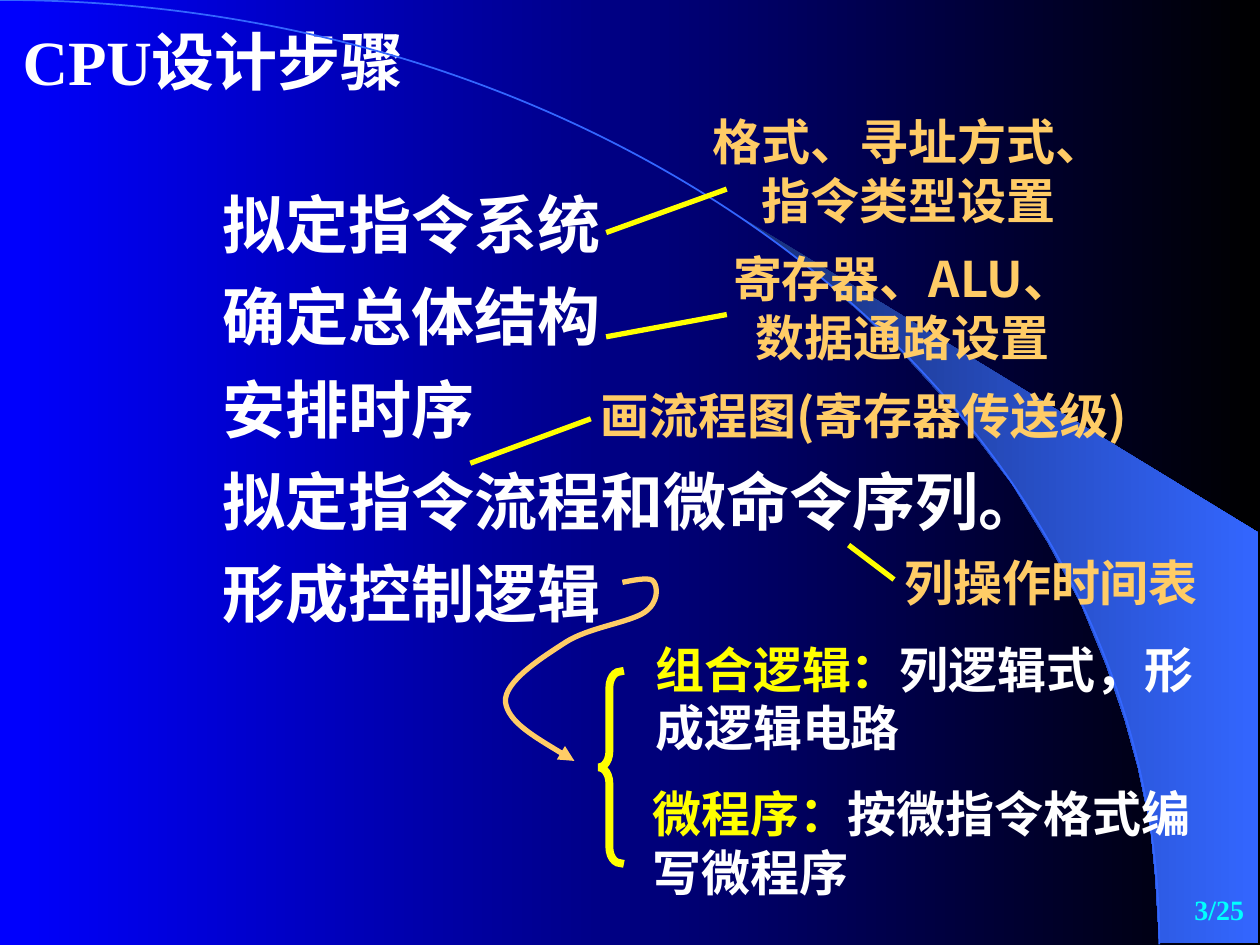
from pptx import Presentation
from pptx.dml.color import RGBColor
from pptx.enum.shapes import MSO_CONNECTOR, MSO_SHAPE
from pptx.enum.text import MSO_ANCHOR, MSO_AUTO_SIZE, PP_ALIGN
from pptx.oxml.ns import qn
from pptx.util import Cm, Pt
from lxml.etree import SubElement

SERIF, SANS = "Times New Roman", "Noto Sans CJK SC"
WHITE, YELLOW, ORANGE, CYAN = "FFFFFF", "FFFF00", "FFCC66", "00FFFF"
BLUE, DARK_BLUE = "3366FF", "182F76"


def color(hex_value):
    return RGBColor.from_string(hex_value)


def fill_gradient(fill, start, end):
    fill.gradient()
    fill.gradient_angle = 0
    for stop, hex_value in zip(fill.gradient_stops, (start, end)):
        stop.color.rgb = color(hex_value)


def set_line(shape, hex_value, width):
    """Solid line with square ends and sharp corners."""
    shape.line.color.rgb = color(hex_value)
    shape.line.width = Pt(width)
    outline = shape.line._get_or_add_ln()
    outline.set("cap", "sq")
    SubElement(outline, qn("a:miter")).set("lim", "800000")


def write(frame, paragraphs, size=28, align=PP_ALIGN.LEFT, spacing=None, before=0):
    """Fill a text frame; each paragraph is a list of (text, colour, font) runs."""
    frame.word_wrap = True
    frame.auto_size = MSO_AUTO_SIZE.NONE
    frame.vertical_anchor = MSO_ANCHOR.TOP
    for index, runs in enumerate(paragraphs):
        paragraph = frame.add_paragraph() if index else frame.paragraphs[0]
        paragraph.alignment = align
        paragraph.space_before = Pt(before if index else 0)
        if spacing:
            paragraph.line_spacing = spacing
        for text, hex_value, font_name in runs:
            run = paragraph.add_run()
            run.text = text
            run.font.size, run.font.bold = Pt(size), True
            run.font.name = font_name
            run.font.color.rgb = color(hex_value)
            east_asian = SubElement(run.font._element, qn("a:ea"))
            east_asian.set("typeface", SANS)


def add_text(slide, box, paragraphs, **text_format):
    frame = slide.shapes.add_textbox(*map(Cm, box)).text_frame
    write(frame, paragraphs, **text_format)


def add_outline(slide, left, top, points, close=False):
    moved = [(Cm(left + x), Cm(top + y)) for x, y in points]
    builder = slide.shapes.build_freeform(*moved[0])
    builder.add_line_segments(moved[1:], close=close)
    shape = builder.convert_to_shape()
    shape.shadow.inherit = False
    return shape


def add_curve(slide, left, top, points, hex_value, width):
    """Open curve; after the start, every three points make one cubic segment."""
    curve = add_outline(slide, left, top, points)
    segments = list(curve._element.iter(qn("a:lnTo")))
    for index in range(0, len(segments), 3):
        first, *others = segments[index:index + 3]
        first.tag = qn("a:cubicBezTo")
        for other in others:
            first.append(other[0])
            other.getparent().remove(other)
    curve.fill.background()
    set_line(curve, hex_value, width)
    return curve


def add_pointer(slide, x1, y1, x2, y2):
    pointer = slide.shapes.add_connector(MSO_CONNECTOR.STRAIGHT, *map(Cm, (x1, y1, x2, y2)))
    set_line(pointer, YELLOW, 3)
    SubElement(pointer._element.spPr, qn("a:effectLst"))


def backdrop(slide, left, top):
    fill_gradient(slide.background.fill, "0000FF", "000000")
    # Swoosh on the right
    swoosh = add_outline(slide, left, top, [
        (23.37, 19), (25.37, 19.02), (25.37, 10.74), (14.96, 4.39), (15.85, 5.05),
        (16.59, 5.64), (17.4, 6.35), (18.19, 7.11), (19.35, 8.38), (20.4, 9.75),
        (21.13, 10.95), (21.79, 12.17), (22.3, 13.41), (22.68, 14.53),
        (22.94, 15.47), (23.19, 16.66), (23.29, 17.68)], close=True)
    fill_gradient(swoosh.fill, DARK_BLUE, BLUE)
    swoosh.line.fill.background()
    # Thin arc across the slide
    add_curve(slide, left, top, [(0, 0), (12.9, 0), (23.37, 8.51), (23.37, 19.02)], BLUE, 1)


def heading(slide, left, top, width, height):
    title = slide.shapes.title
    title.left, title.top, title.width, title.height = map(Cm, (left, top, width, height))
    write(title.text_frame, [[("CPU设计步骤", WHITE, SERIF)]], size=36)


def design_steps(slide, left, top, width, height):
    steps = ["拟定指令系统", "确定总体结构", "安排时序", "拟定指令流程和微命令序列。", "形成控制逻辑"]
    add_text(slide, (left, top, width, height), [[(step, WHITE, SERIF)] for step in steps],
             size=36, spacing=0.7, before=22.5)
    # Remarks: box, runs, alignment and pointer, relative to the list
    centre, start = PP_ALIGN.CENTER, PP_ALIGN.LEFT
    remarks = [
        ((9.73, -1.9, 8.69, 2.64), [("格式、寻址方式、指令类型设置", SERIF)], centre,
         (8.03, 0.64, 10.36, -0.2)),
        ((9.93, 0.85, 8.05, 2.64),
         [("寄存器、", SERIF), ("ALU", SANS), ("、数据通路设置", SERIF)], centre,
         (8.03, 2.75, 10.36, 2.32)),
        ((7.62, 3.61, 12.27, 1.45), [("画流程图", SERIF), ("(寄存器传送级)", SANS)], start,
         (5.29, 5.29, 7.62, 4.43)),
        ((13.74, 6.99, 6.55, 1.45), [("列操作时间表", SANS)], start,
         (13.74, 7.62, 12.91, 6.99)),
    ]
    for (x, y, w, h), runs, align, (x1, y1, x2, y2) in remarks:
        add_pointer(slide, left + x1, top + y1, left + x2, top + y2)
        add_text(slide, (left + x, top + y, w, h),
                 [[(text, ORANGE, font) for text, font in runs]], align=align)


def control_logic(slide, left, top):
    # Brace
    brace = slide.shapes.add_shape(
        MSO_SHAPE.LEFT_BRACE, *map(Cm, (left + 1.88, top + 1.91, 0.43, 3.86)))
    brace.adjustments[0] = 0.75
    brace.shadow.inherit = False
    brace.fill.background()
    set_line(brace, YELLOW, 4.5)
    # The two kinds of logic
    kinds = [((2.77, 1.13, 11.58, 2.64), "组合逻辑：", "列逻辑式，形成逻辑电路"),
             ((2.71, 4.04, 11.99, 2.64), "微程序：", "按微指令格式编写微程序")]
    for (x, y, w, h), kind, method in kinds:
        add_text(slide, (left + x, top + y, w, h),
                 [[(kind, YELLOW, SANS), (method, WHITE, SANS)]])
    # Curved arrow from the last step
    arrow = add_curve(slide, left, top, [
        (2.41, 0.1),
        (2.66, 0.05), (2.94, 0), (2.99, 0.1),
        (3.07, 0.21), (3.09, 0.51), (2.81, 0.71),
        (2.51, 0.92), (1.67, 1.02), (1.21, 1.32),
        (0.73, 1.63), (-0.03, 2.11), (0, 2.52),
        (0.05, 2.92), (0.73, 3.31), (1.39, 3.71)], ORANGE, 3)
    SubElement(arrow.line._get_or_add_ln(), qn("a:tailEnd")).set("type", "triangle")


def page_number(slide, left, top, width, height):
    add_text(slide, (left, top, width, height), [[("3/25", CYAN, SERIF)]],
             size=16, align=PP_ALIGN.RIGHT)


def main():
    presentation = Presentation()
    presentation.slide_width, presentation.slide_height = Cm(25.4), Cm(19.05)
    slide = presentation.slides.add_slide(presentation.slide_layouts[5])
    backdrop(slide, 0, 0)
    heading(slide, 0.2, 0.33, 11.28, 1.78)
    design_steps(slide, 4.24, 4.03, 17.98, 8.76)
    control_logic(slide, 10.19, 11.63)
    page_number(slide, 20.05, 17.86, 5.28, 1.14)
    presentation.save("out.pptx")


if __name__ == "__main__":
    main()
